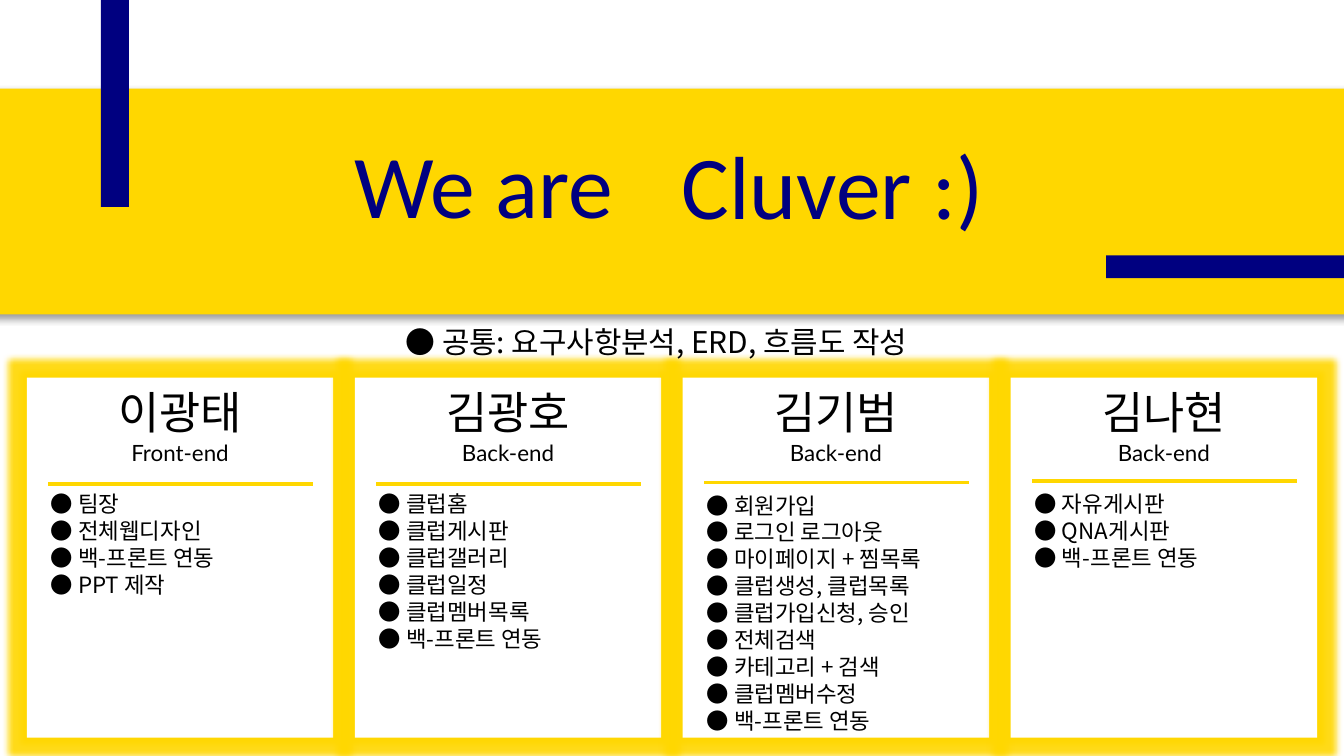
from dataclasses import dataclass

from lxml.etree import SubElement
from pptx import Presentation
from pptx.dml.color import RGBColor
from pptx.enum.shapes import MSO_CONNECTOR, MSO_SHAPE
from pptx.enum.text import MSO_AUTO_SIZE, PP_ALIGN
from pptx.oxml.ns import qn
from pptx.util import Inches, Pt


@dataclass(frozen=True)
class Theme:
    """Colours, fonts and type sizes of the deck."""
    navy: str = "000080"
    gold: str = "FFD700"
    white: str = "FFFFFF"
    black: str = "000000"
    title_font: str = "Calibri"
    role_font: str = "Lato"
    body_font: str = "Noto Sans CJK KR"
    title: int = 48
    name: int = 24
    note: int = 16
    body: int = 12


class TeamSlide:
    """Draws on one slide with a square grid of 100 columns."""

    def __init__(self, prs, theme):
        """Add a blank slide and measure its grid cell."""
        self.theme = theme
        self.s = prs.slides.add_slide(prs.slide_layouts[6])
        self.cell = prs.slide_width / 100

    def at(self, *cells):
        """Turn grid cells into slide lengths."""
        return [round(c * self.cell) for c in cells]

    def block(self, box, color):
        """Add a plain filled rectangle."""
        sp = self.s.shapes.add_shape(MSO_SHAPE.RECTANGLE, *self.at(*box))
        sp.shadow.inherit = False
        sp.fill.solid()
        sp.fill.fore_color.rgb = RGBColor.from_string(color)
        sp.line.fill.background()
        return sp

    def effect(self, sp, kind, color, alpha, **attrs):
        """Add a glow or shadow to a shape."""
        effects = sp._element.spPr.find(qn("a:effectLst"))
        node = SubElement(effects, qn(f"a:{kind}"), {k: str(v) for k, v in attrs.items()})
        tint = SubElement(node, qn("a:srgbClr"), val=color)
        SubElement(tint, qn("a:alpha"), val=str(alpha * 1000))

    def text(self, box, lines, size, font, color=None, align=PP_ALIGN.CENTER, wrap=True):
        """Add a text box with one paragraph per line."""
        tf = self.s.shapes.add_textbox(*self.at(*box)).text_frame
        tf.word_wrap = wrap
        tf.auto_size = MSO_AUTO_SIZE.SHAPE_TO_FIT_TEXT
        tf.text = "\n".join(lines)
        for p in tf.paragraphs:
            p.alignment = align
            p.font.size = Pt(size)
            p.font.name = font
            p.font.color.rgb = RGBColor.from_string(color or self.theme.black)
            SubElement(p._p.pPr.find(qn("a:defRPr")), qn("a:ea"), typeface=font)

    def rule(self, x, y, width):
        """Add a horizontal gold line."""
        x1, x2, y = self.at(x, x + width, y)
        line = self.s.shapes.add_connector(MSO_CONNECTOR.STRAIGHT, x1, y, x2, y)
        line.line.color.rgb = RGBColor.from_string(self.theme.gold)
        line.line.width = Pt(2)
        SubElement(line._element.spPr, qn("a:effectLst"))

    def card(self, x):
        """Add a glowing white card."""
        sp = self.block((x, 28.1, 22.8, 26.8), self.theme.white)
        self.effect(sp, "glow", self.theme.gold, 90, rad=Pt(7))

    def member(self, x, name, role, tasks, rule_y, list_y):
        """Fill a card with a member's name, role and tasks."""
        t = self.theme
        self.text((x, 28.1, 22.8, 5), [name], t.name, t.body_font)
        self.text((x, 32.2, 22.8, 3), [role], t.body, t.role_font)
        self.rule(x + 1.6, rule_y, 19.7)
        self.text((x + 0.8, list_y, 21.3, 1 + 2 * len(tasks)),
                  [f"● {task}" for task in tasks],
                  t.body, t.body_font, align=PP_ALIGN.LEFT)


MEMBERS = [
    ("이광태", "Front-end", ["팀장", "전체웹디자인", "백-프론트 연동", "PPT 제작"], 36, 36),
    ("김광호", "Back-end", ["클럽홈", "클럽게시판", "클럽갤러리", "클럽일정", "클럽멤버목록",
                         "백-프론트 연동"], 36, 36),
    ("김기범", "Back-end", ["회원가입", "로그인 로그아웃", "마이페이지 + 찜목록",
                         "클럽생성, 클럽목록", "클럽가입신청, 승인", "전체검색",
                         "카테고리 + 검색", "클럽멤버수정", "백-프론트 연동"], 35.9, 36.1),
    ("김나현", "Back-end", ["자유게시판", "QNA게시판", "백-프론트 연동"], 35.8, 36),
]


def main():
    """Build and save the team slide."""
    prs = Presentation()
    prs.slide_width = Inches(10)
    prs.slide_height = prs.slide_width * 9 // 16
    t = Theme()
    slide = TeamSlide(prs, t)

    band = slide.block((-2.7, 6.6, 105.9, 16.8), t.gold)
    slide.effect(band, "outerShdw", t.black, 40, blurRad=Pt(4), dist=Pt(3), dir=45 * 60000)
    slide.text((24.3, 9.1, 23.4, 9.1), ["We are"], t.title, t.title_font, t.navy, wrap=False)
    slide.block((82.3, 19, 20.5, 1.7), t.navy)

    columns = [2 + 24.4 * i for i in range(len(MEMBERS))]
    for x in columns:
        slide.card(x)
    slide.text((46.9, 9.2, 30.1, 9.1), ["Cluver :)"], t.title, t.title_font, t.navy, wrap=False)
    for x, member in zip(columns, MEMBERS):
        slide.member(x, *member)

    slide.block((7.5, -5.1, 2.1, 20.5), t.navy)
    slide.text((29.2, 23.6, 42.1, 3.7), ["● 공통: 요구사항분석, ERD, 흐름도 작성"],
               t.note, t.body_font, align=PP_ALIGN.LEFT, wrap=False)

    prs.save("out.pptx")


if __name__ == "__main__":
    main()
